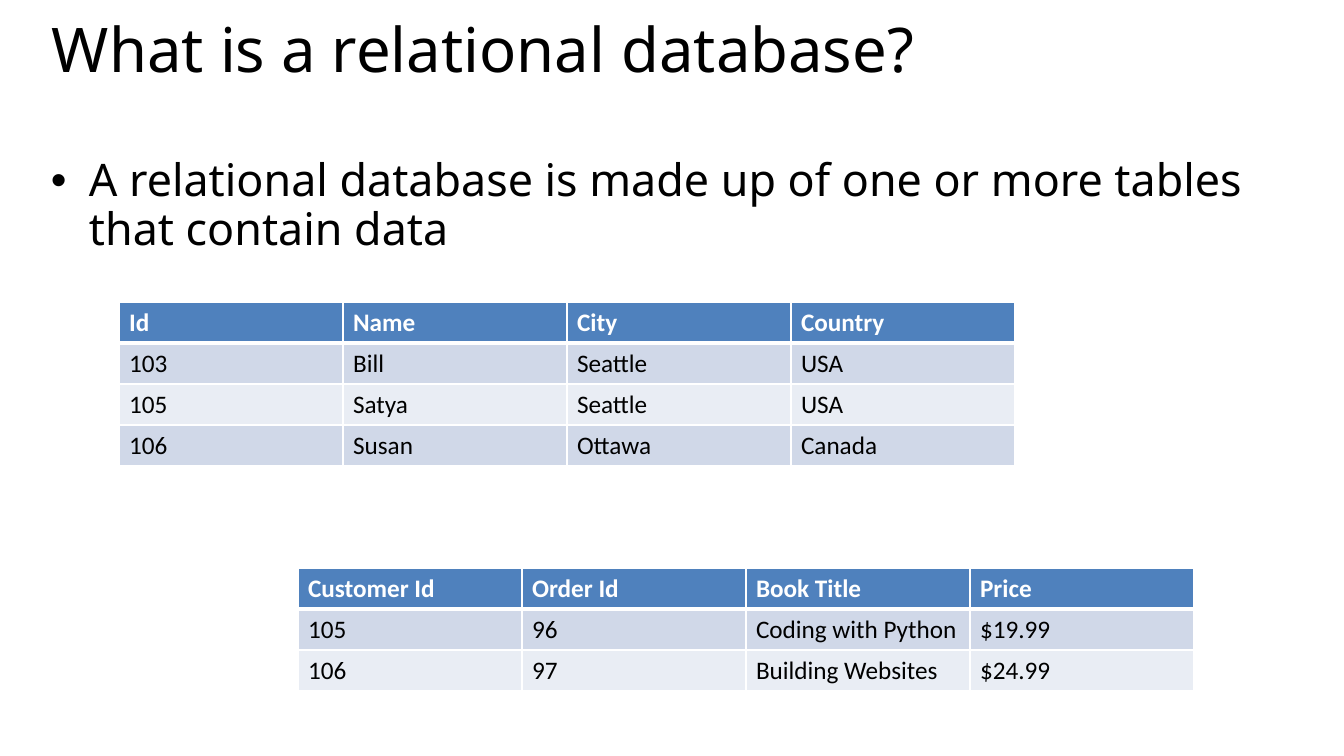
from lxml import etree
from pptx import Presentation
from pptx.dml.color import RGBColor
from pptx.enum.text import MSO_ANCHOR
from pptx.oxml.ns import qn
from pptx.util import Pt

TOP = MSO_ANCHOR.TOP
PX = 914400 / 100.8
WHITE, BLACK, BLUE = "FFFFFF", "000000", "4F81BD"
BANDS = ("D0D8E8", "E9EDF4")


def px(n):
    return round(n * PX)


def rgb(value):
    return RGBColor.from_string(value)


class Deck:
    heading_font, table_font = "Noto Sans", "Calibri"
    column, row = 224, 41

    def __init__(self, width, height):
        self.prs = Presentation()
        self.prs.slide_width, self.prs.slide_height = px(width), px(height)
        self.s = self.prs.slides.add_slide(self.prs.slide_layouts[6])

    def run(self, p, text, size, font, color=BLACK, bold=False):
        r = p.add_run()
        r.text = text
        r.font.size, r.font.name, r.font.bold = Pt(size), font, bold
        r.font.color.rgb = rgb(color)

    def text(self, box, text, size, spacing):
        tf = self.s.shapes.add_textbox(*map(px, box)).text_frame
        tf.word_wrap = True
        tf.vertical_anchor = TOP
        p = tf.paragraphs[0]
        p.line_spacing = spacing
        self.run(p, text, size, self.heading_font)
        return p

    def bullet(self, box, text, size, spacing, indent):
        pPr = self.text(box, text, size, spacing)._p.get_or_add_pPr()
        pPr.set("marL", str(px(indent)))
        pPr.set("indent", str(-px(indent)))
        etree.SubElement(pPr, qn("a:buFont")).set("typeface", "Arial")
        etree.SubElement(pPr, qn("a:buChar")).set("char", "•")

    def borders(self, cell, top, bottom):
        tcPr = cell._tc.get_or_add_tcPr()
        widths = {"L": 1, "R": 1, "T": top, "B": bottom}
        for i, (side, width) in enumerate(widths.items()):
            ln = etree.Element(qn("a:ln" + side), w=str(Pt(width)))
            fill = etree.SubElement(ln, qn("a:solidFill"))
            etree.SubElement(fill, qn("a:srgbClr")).set("val", WHITE)
            tcPr.insert(i, ln)

    def table(self, left, top, rows):
        n, m = len(rows), len(rows[0])
        tbl = self.s.shapes.add_table(
            n, m, px(left), px(top), px(m * self.column), px(n * self.row)).table
        for i, values in enumerate(rows):
            header = i == 0
            for j, value in enumerate(values):
                cell = tbl.cell(i, j)
                cell.fill.solid()
                cell.fill.fore_color.rgb = rgb(BLUE if header else BANDS[(i - 1) % 2])
                self.borders(cell, 3 if i == 1 else 1, 3 if header else 1)
                self.run(cell.text_frame.paragraphs[0], value, 18, self.table_font,
                         WHITE if header else BLACK, header)


deck = Deck(1344, 756)

# Title and statement
deck.text((42, 20, 1270, 117), "What is a relational database?", 44, 0.8)
deck.bullet((41, 153, 1270, 584),
            "A relational database is made up of one or more tables that contain data",
            32, 0.9, 38)

# Customers
deck.table(119, 302, [
    ("Id", "Name", "City", "Country"),
    ("103", "Bill", "Seattle", "USA"),
    ("105", "Satya", "Seattle", "USA"),
    ("106", "Susan", "Ottawa", "Canada"),
])

# Orders
deck.table(298, 568, [
    ("Customer Id", "Order Id", "Book Title", "Price"),
    ("105", "96", "Coding with Python", "$19.99"),
    ("106", "97", "Building Websites", "$24.99"),
])

deck.prs.save("out.pptx")
